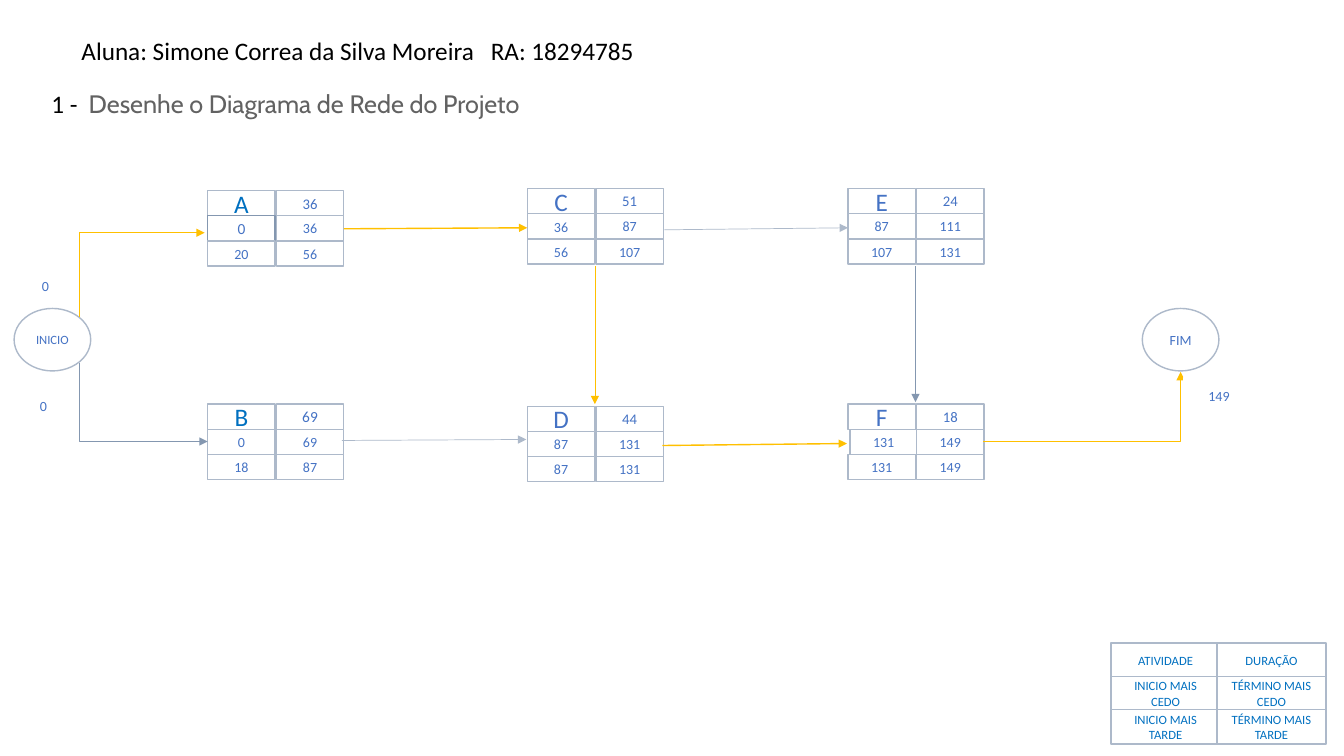
"""Build the project network diagram slide with its activity grids and legend."""
from lxml.etree import SubElement
from pptx import Presentation
from pptx.dml.color import RGBColor
from pptx.enum.shapes import MSO_CONNECTOR as Link, MSO_SHAPE as Shape
from pptx.enum.text import MSO_ANCHOR as Anchor, MSO_AUTO_SIZE as AutoSize, PP_ALIGN as Align
from pptx.oxml.ns import qn
from pptx.util import Inches, Pt

COLORS = {
    "white": "FFFFFF", "black": "000000", "heading": "626262", "label": "0070C0",
    "value": "4472C4", "border": "ADB9CA", "slate": "8497B0", "critical": "FFC000",
}
STUDENT = [("Aluna: Simone Correa da Silva Moreira\tRA: 18294785", "Calibri", "black")]
QUESTION = [("1 -\t", "Calibri", "black"),
            ("Desenhe o Diagrama de Rede do Projeto", "Cabin", "heading")]

ACTIVITIES = [
    (2.06, 1.89, [("A", "36"), ("0", "36"), ("20", "56")]),
    (2.06, 4.01, [("B", "69"), ("0", "69"), ("18", "87")]),
    (5.23, 1.87, [("C", "51"), ("36", "87"), ("56", "107")]),
    (5.23, 4.03, [("D", "44"), ("87", "131"), ("87", "131")]),
    (8.41, 1.87, [("E", "24"), ("87", "111"), ("107", "131")]),
    (8.41, 4.01, [("F", "18"), ("131", "149"), ("131", "149")]),
]
EXCEPTIONS = {
    ("A", 0, 0): {"color": "label"},
    ("A", 1, 0): {"size": 11, "line": "slate"},
    ("B", 0, 0): {"color": "label"},
    ("B", 0, 1): {"size": 11},
    ("C", 1, 0): {"extra_height": 0.02},
    ("F", 1, 0): {"shift": 0.02},
}
LEGEND = (11.02, 6.38, [
    ("ATIVIDADE", "DURAÇÃO"),
    ("INICIO MAIS CEDO", "TÉRMINO MAIS CEDO"),
    ("INICIO MAIS TARDE", "TÉRMINO MAIS TARDE"),
])
EVENTS = [("INICIO", 0.14, 9), ("FIM", 11.33, 10)]
TOTALS = [("149", (11.74, 3.75, 0.7, 0.36)), ("0", (0.14, 2.64, 0.62, 0.4)),
          ("0", (0.12, 3.83, 0.62, 0.4))]
LINKS = [
    (Link.ELBOW, (2.03, 2.31), (0.79, 3.15), "critical", 1, "headEnd"),
    (Link.ELBOW, (2.06, 4.38), (0.79, 3.6), "slate", 0.5, "headEnd"),
    (Link.STRAIGHT, (3.41, 2.27), (5.23, 2.26), "critical", 1, "tailEnd"),
    (Link.STRAIGHT, (3.39, 4.37), (5.22, 4.36), "border", 0.5, "tailEnd"),
    (Link.STRAIGHT, (6.59, 2.28), (8.41, 2.26), "border", 0.5, "tailEnd"),
    (Link.STRAIGHT, (6.57, 4.42), (8.4, 4.4), "critical", 1, "tailEnd"),
    (Link.ELBOW, (9.75, 4.38), (11.71, 3.69), "critical", 1, "tailEnd"),
    (Link.STRAIGHT, (9.08, 2.64), (9.08, 3.99), "slate", 0.5, "tailEnd"),
    (Link.STRAIGHT, (5.9, 2.64), (5.9, 4.01), "critical", 0.5, "tailEnd"),
]


def color(name):
    return RGBColor.from_string(COLORS[name])


def write(shape, runs, size=10, align=Align.CENTER, anchor=Anchor.MIDDLE, inset=0.1, tab=None):
    frame = shape.text_frame
    frame.word_wrap = True
    frame.auto_size = AutoSize.NONE
    frame.vertical_anchor = anchor
    frame.margin_left = frame.margin_right = Inches(inset)
    frame.margin_top = frame.margin_bottom = Inches(0.05)
    paragraph = frame.paragraphs[0]
    paragraph.alignment = align
    if tab:
        stops = SubElement(paragraph._p.get_or_add_pPr(), qn("a:tabLst"))
        SubElement(stops, qn("a:tab"), pos=str(Inches(tab)), algn="l")
    for words, font, tint in runs:
        run = paragraph.add_run()
        run.text = words
        run.font.name = font
        run.font.size = Pt(size)
        run.font.color.rgb = color(tint)


def add_box(slide, kind, place, words, line="border", tint="value", **text_format):
    box = slide.shapes.add_shape(kind, *map(Inches, place))
    box.shadow.inherit = False
    box.fill.solid()
    box.fill.fore_color.rgb = color("white")
    box.line.color.rgb = color(line)
    box.line.width = Pt(1)
    write(box, [(words, "Calibri", tint)], **text_format)


def add_activity(slide, left, top, rows):
    name = rows[0][0]
    for column in range(2):
        for row in range(3):
            custom = EXCEPTIONS.get((name, row, column), {})
            usual_size = 10 if row else (18, 10.5)[column]
            place = (left + column * 0.68 + custom.get("shift", 0), top + row * 0.25,
                     0.67, 0.25 + custom.get("extra_height", 0))
            add_box(slide, Shape.RECTANGLE, place, rows[row][column],
                    line=custom.get("line", "border"), tint=custom.get("color", "value"),
                    size=custom.get("size", usual_size))


def add_legend(slide, left, top, rows):
    for row, pair in enumerate(rows):
        for column, words in enumerate(pair):
            place = (left + column * 1.05, top + row * 0.33, 1.08, 0.34)
            add_box(slide, Shape.RECTANGLE, place, words, tint="label", size=9)


def add_link(slide, kind, start, end, tint, width, arrow_end):
    link = slide.shapes.add_connector(kind, *map(Inches, start + end))
    link.line.color.rgb = color(tint)
    link.line.width = Pt(width)
    properties = link._element.spPr
    if kind == Link.ELBOW:
        properties.find(qn("a:prstGeom")).set("prst", "bentConnector2")
    SubElement(properties.find(qn("a:ln")), qn("a:" + arrow_end), type="triangle")
    SubElement(properties, qn("a:effectLst"))


def main():
    deck = Presentation()
    deck.slide_width, deck.slide_height = Inches(13.33), Inches(7.5)
    slide = deck.slides.add_slide(deck.slide_layouts[5])
    heading = slide.shapes.title
    heading.left, heading.top, heading.width, heading.height = map(Inches, (0.41, 0.83, 5.46, 0.4))
    write(heading, QUESTION, size=18, align=Align.LEFT, anchor=Anchor.TOP, tab=0.37)
    student = slide.shapes.add_textbox(*map(Inches, (0.71, 0.3, 5.87, 0.4)))
    write(student, STUDENT, size=18, align=Align.LEFT, anchor=Anchor.TOP, tab=4.06)

    for activity in ACTIVITIES:
        add_activity(slide, *activity)
    for event, left, size in EVENTS:
        add_box(slide, Shape.OVAL, (left, 3.06, 0.76, 0.62), event, size=size, inset=0)
    for link in LINKS:
        add_link(slide, *link)
    for total, place in TOTALS:
        add_box(slide, Shape.FLOWCHART_PROCESS, place, total, line="white")
    add_legend(slide, *LEGEND)
    deck.save("out.pptx")


if __name__ == "__main__":
    main()
